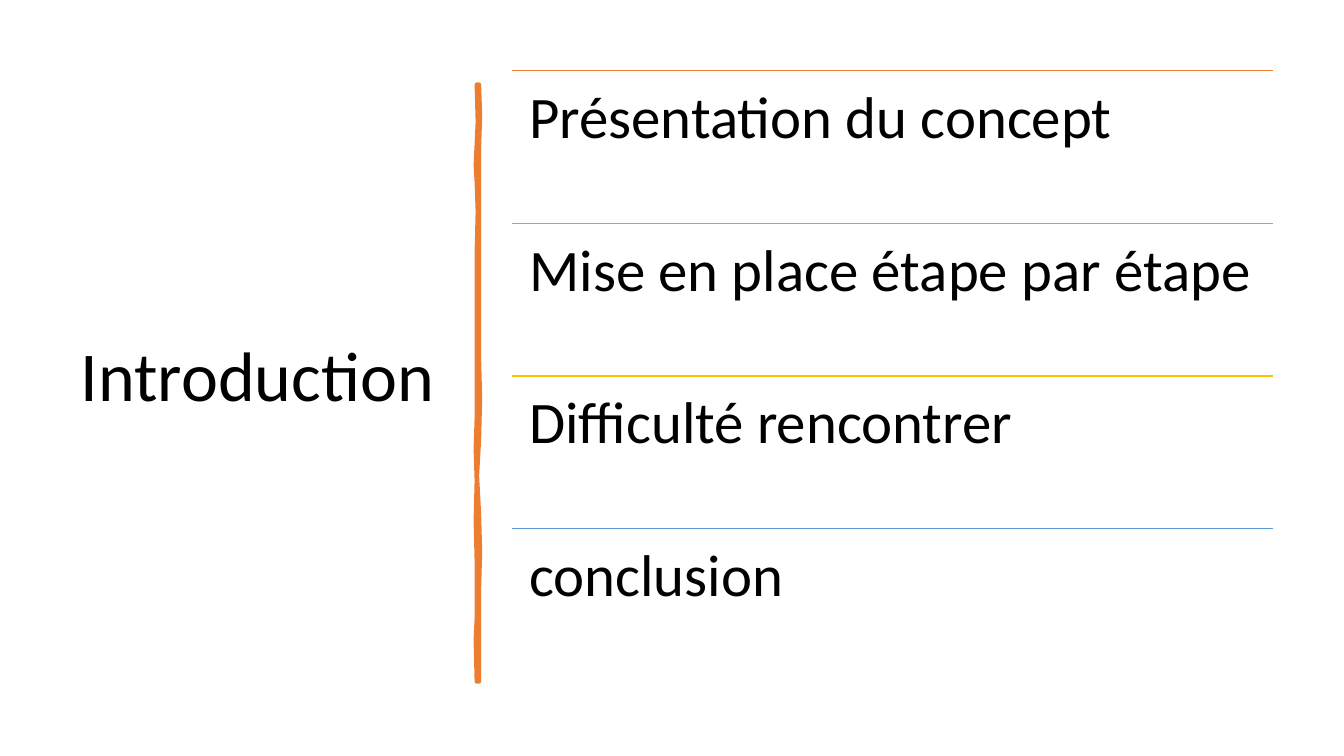
from dataclasses import dataclass

from lxml import etree
from pptx import Presentation
from pptx.dml.color import RGBColor
from pptx.enum import shapes, text
from pptx.oxml import ns
from pptx.util import Inches, Pt


@dataclass(frozen=True)
class Theme:
    font: str = "Calibri"
    ink: str = "000000"
    bar: str = "ED7D31"
    head: float = 50
    body: float = 42
    rule: float = 1
    brush: float = 3.25


THEME = Theme()
LEFT, TOP, WIDTH, HEIGHT = 5.08, 0.7, 7.55, 6.06
TOPICS = [
    ("Présentation du concept", "ED7D31"),
    ("Mise en place étape par étape", "A5A5A5"),
    ("Difficulté rencontrer", "FFC000"),
    ("conclusion", "5B9BD5"),
]
STEP = HEIGHT / len(TOPICS)
EDGE = [
    (4.75, 0.84), (4.76, 1.15), (4.75, 1.46), (4.75, 2.26), (4.75, 2.94),
    (4.75, 3.56), (4.76, 3.95), (4.75, 4.36), (4.73, 4.72), (4.75, 5.1),
    (4.76, 5.47), (4.75, 5.84), (4.75, 6.76), (4.73, 6.76), (4.72, 6.35),
    (4.73, 6.13), (4.73, 5.57), (4.72, 5.16), (4.73, 4.77), (4.72, 4.45),
    (4.73, 4.15), (4.73, 3.35), (4.73, 2.5), (4.74, 2.1), (4.73, 1.81),
    (4.72, 1.64), (4.74, 1.21), (4.73, 0.84),
]


def color(code):
    return RGBColor.from_string(code)


def write(frame, words, size, anchor, inset):
    frame.word_wrap = True
    frame.auto_size = text.MSO_AUTO_SIZE.NONE
    frame.vertical_anchor = anchor
    frame.margin_left = frame.margin_right = Inches(inset)
    frame.margin_top = frame.margin_bottom = Inches(inset)
    line = frame.paragraphs[0]
    line.alignment = text.PP_ALIGN.LEFT
    line.line_spacing = 0.9
    run = line.add_run()
    run.text = words
    run.font.name = THEME.font
    run.font.size = Pt(size)
    run.font.color.rgb = color(THEME.ink)


def add_title(slide, words):
    title = slide.shapes.title
    title.left, title.top = Inches(0.7), Inches(TOP)
    title.width, title.height = Inches(3.74), Inches(6.11)
    write(title.text_frame, words, THEME.head, text.MSO_ANCHOR.MIDDLE, 0.1)


def add_brush(slide):
    first, *rest = [(Inches(x), Inches(y)) for x, y in EDGE]
    pen = slide.shapes.build_freeform(*first)
    pen.add_line_segments(rest, close=True)
    brush = pen.convert_to_shape()
    brush.shadow.inherit = False
    brush.fill.solid()
    brush.fill.fore_color.rgb = color(THEME.bar)
    brush.line.color.rgb = color(THEME.bar)
    brush.line.width = Pt(THEME.brush)


def add_rule(slide, top, code):
    rule = slide.shapes.add_connector(
        shapes.MSO_CONNECTOR.STRAIGHT,
        Inches(LEFT), Inches(top), Inches(LEFT + WIDTH), Inches(top),
    )
    rule.line.color.rgb = color(code)
    rule.line.width = Pt(THEME.rule)
    etree.SubElement(rule._element.spPr, ns.qn("a:effectLst"))


def add_topic(slide, top, words):
    box = slide.shapes.add_textbox(
        Inches(LEFT), Inches(top), Inches(WIDTH), Inches(STEP)
    )
    write(box.text_frame, words, THEME.body, text.MSO_ANCHOR.TOP, 0.17)


def main():
    deck = Presentation()
    deck.slide_width, deck.slide_height = Inches(13.33), Inches(7.5)
    slide = deck.slides.add_slide(deck.slide_layouts[5])
    add_title(slide, "Introduction")
    add_brush(slide)
    for row, (words, code) in enumerate(TOPICS):
        top = TOP + row * STEP
        add_rule(slide, top, code)
        add_topic(slide, top, words)
    deck.save("out.pptx")


if __name__ == "__main__":
    main()
